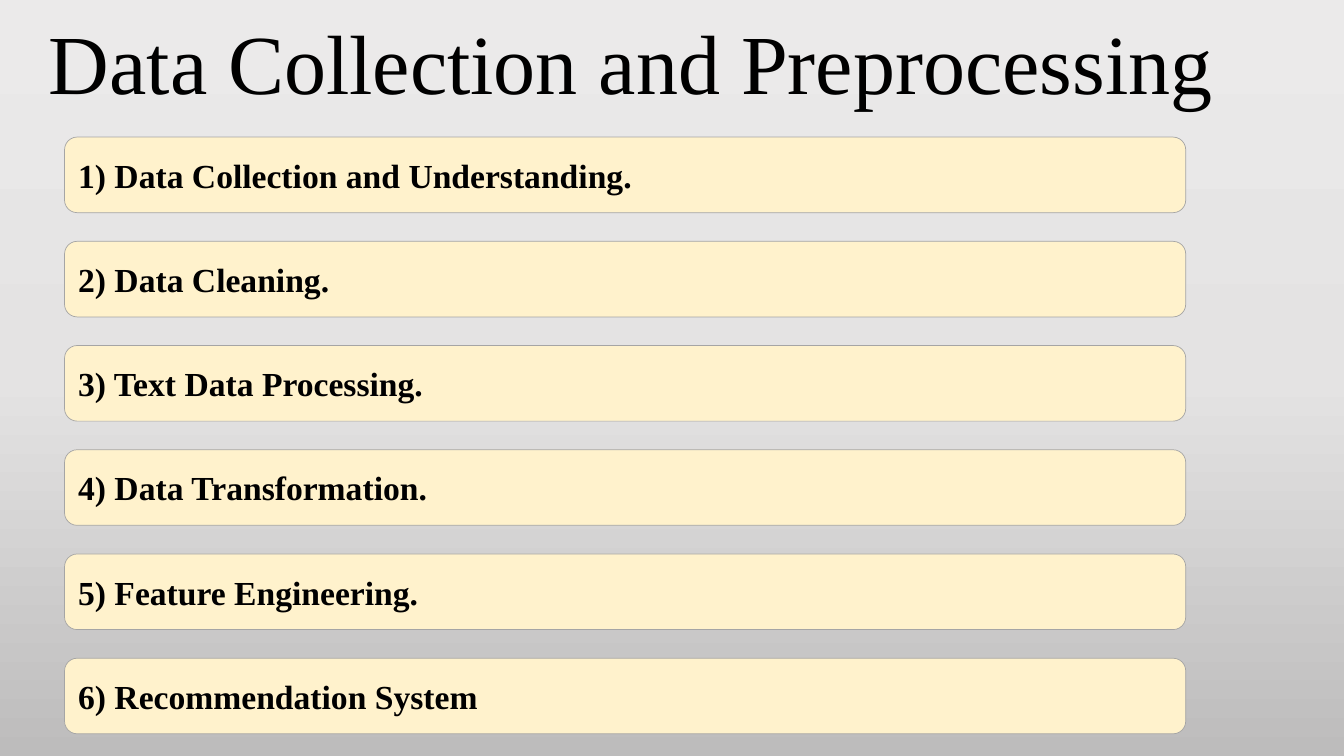
from copy import deepcopy

from pptx import Presentation
from pptx.dml.color import RGBColor
from pptx.enum.shapes import MSO_SHAPE
from pptx.enum.text import MSO_ANCHOR, MSO_AUTO_SIZE, PP_ALIGN
from pptx.oxml.ns import qn
from pptx.util import Inches, Pt

FONT = "Times New Roman"
BACKDROP = [(0, "EBEAEA"), (0.5, "E4E3E3"), (1, "BDBCBC")]
STEPS = [
    "Data Collection and Understanding.",
    "Data Cleaning.",
    "Text Data Processing.",
    "Data Transformation.",
    "Feature Engineering.",
    "Recommendation System",
]
FIRST_TOP, STEP_PITCH = 1.36, 1.034


def rgb(hex_color):
    """Turn a hex string into a colour."""
    return RGBColor.from_string(hex_color)


def style_text(paragraph, size, bold, align):
    """Format a paragraph and its runs."""
    paragraph.alignment = align
    for run in paragraph.runs:
        run.font.name = FONT
        run.font.size = Pt(size)
        run.font.bold = bold
        run.font.color.rgb = rgb("000000")


def paint_background(slide):
    """Fill the background with a vertical three-stop gradient."""
    fill = slide.background.fill
    fill.gradient()
    fill.gradient_angle = 270
    stop_list = slide.element.find(".//" + qn("a:gsLst"))
    stop_list.append(deepcopy(stop_list[-1]))
    for stop, (position, color) in zip(fill.gradient_stops, BACKDROP):
        stop.position = position
        stop.color.rgb = rgb(color)


def set_title(slide, text):
    """Place and format the slide title."""
    title = slide.shapes.title
    title.left, title.top = Inches(0), Inches(0)
    title.width, title.height = Inches(12.52), Inches(1.17)
    frame = title.text_frame
    frame.text = text
    frame.word_wrap = True
    frame.auto_size = MSO_AUTO_SIZE.NONE
    frame.vertical_anchor = MSO_ANCHOR.BOTTOM
    heading = frame.paragraphs[0]
    heading.line_spacing = 0.9
    style_text(heading, 60, False, PP_ALIGN.CENTER)


def add_step(slide, top, text):
    """Add one rounded bar holding a numbered step."""
    bar = slide.shapes.add_shape(
        MSO_SHAPE.ROUNDED_RECTANGLE,
        Inches(0.64), Inches(top), Inches(11.12), Inches(0.75),
    )
    bar.shadow.inherit = False
    bar.fill.solid()
    bar.fill.fore_color.rgb = rgb("FFF2CC")
    bar.line.color.rgb = rgb("A5A5A5")
    bar.line.width = Pt(0.5)
    frame = bar.text_frame
    frame.text = text
    frame.word_wrap = True
    frame.vertical_anchor = MSO_ANCHOR.MIDDLE
    style_text(frame.paragraphs[0], 24, True, PP_ALIGN.LEFT)


def main():
    """Build the slide and save it."""
    deck = Presentation()
    deck.slide_width, deck.slide_height = Inches(13.33), Inches(7.5)
    slide = deck.slides.add_slide(deck.slide_layouts[5])
    paint_background(slide)
    set_title(slide, "Data Collection and Preprocessing")
    for index, step in enumerate(STEPS):
        add_step(slide, FIRST_TOP + index * STEP_PITCH, f"{index + 1}) {step}")
    deck.save("out.pptx")


if __name__ == "__main__":
    main()
